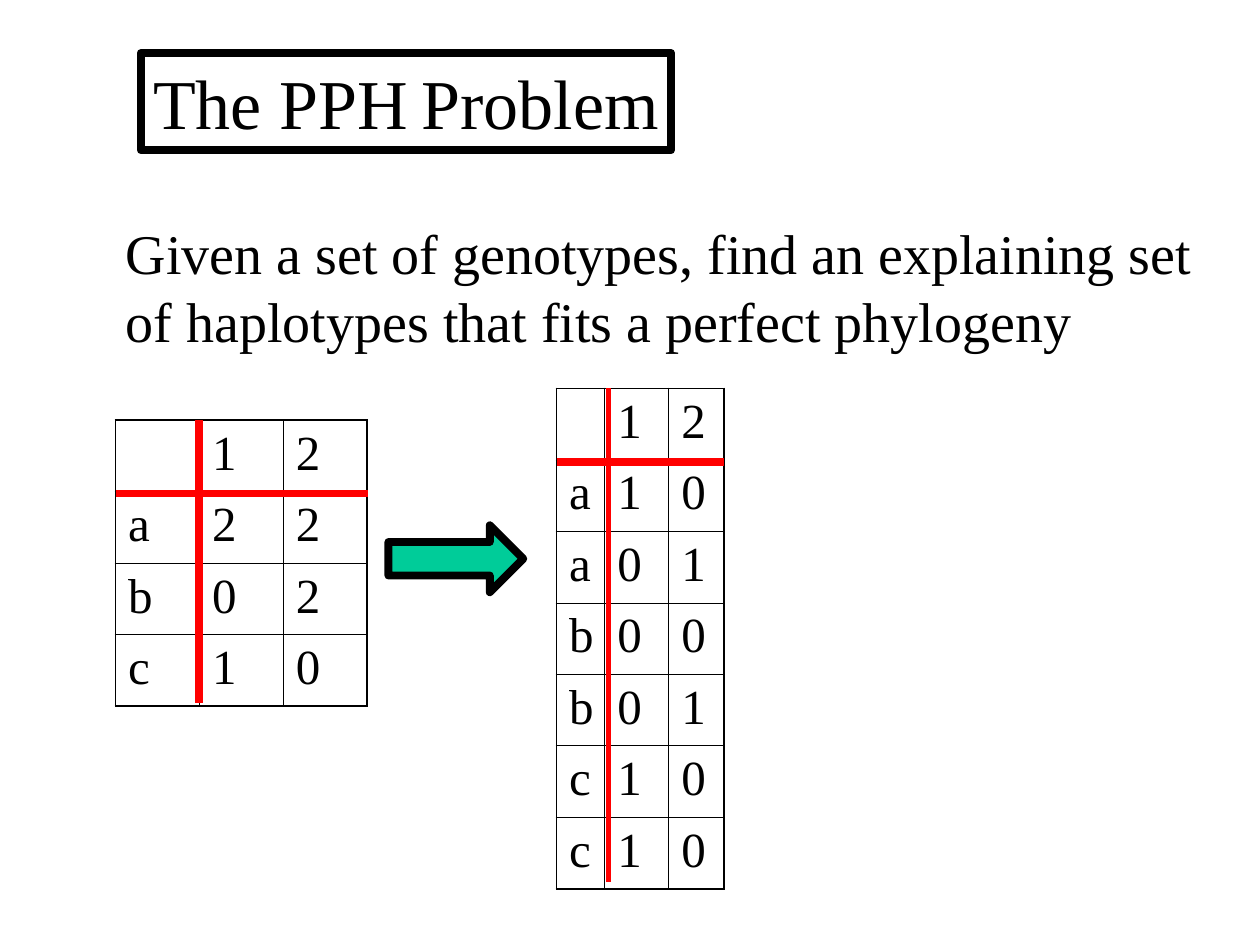
from lxml import etree
from pptx import Presentation
from pptx.dml.color import RGBColor
from pptx.enum.shapes import MSO_CONNECTOR, MSO_SHAPE
from pptx.enum.text import MSO_ANCHOR, MSO_AUTO_SIZE, PP_ALIGN
from pptx.oxml import parse_xml
from pptx.oxml.ns import nsdecls, qn
from pptx.util import Cm, Pt

RECT = MSO_SHAPE.RECTANGLE
ARROW = MSO_SHAPE.RIGHT_ARROW
STRAIGHT = MSO_CONNECTOR.STRAIGHT
LEFT = PP_ALIGN.LEFT
TOP = MSO_ANCHOR.TOP
GROW = MSO_AUTO_SIZE.SHAPE_TO_FIT_TEXT

COLORS = {"ink": "000000", "rule": "FF0000", "arrow": "00CC99"}
FRAME = {"word_wrap": False, "auto_size": GROW, "vertical_anchor": TOP}
ROW = 1.44
THIN, EDGE = 0.45, 1.08

GENOS = ["12", "a22", "b02", "c10"]
HAPLOS = ["12", "a10", "a01", "b00", "b01", "c10", "c10"]


def apply(target, values):
    for name, value in values.items():
        setattr(target, name, value)


def color(name):
    return RGBColor.from_string(COLORS[name])


class Board:
    """Holds the text style and the slide being filled."""

    def __init__(self, slide, font):
        self.slide = slide
        self.font = font

    def add_runs(self, para, runs):
        """Fill a paragraph from (text, size) pairs."""
        para.alignment = LEFT
        for text, size in runs:
            run = para.add_run()
            run.text = text
            apply(run.font, {"name": self.font, "size": Pt(size)})
            run.font.color.rgb = color("ink")

    def fill_frame(self, frame, lines):
        apply(frame, FRAME)
        for i, runs in enumerate(lines):
            para = frame.add_paragraph() if i else frame.paragraphs[0]
            self.add_runs(para, runs)

    def text(self, box, lines):
        shape = self.slide.shapes.add_textbox(*map(Cm, box))
        self.fill_frame(shape.text_frame, lines)

    def shape(self, kind, box, fill=None, lines=()):
        shape = self.slide.shapes.add_shape(kind, *map(Cm, box))
        shape.shadow.inherit = False
        if fill:
            shape.fill.solid()
            shape.fill.fore_color.rgb = color(fill)
        else:
            shape.fill.background()
        shape.line.color.rgb = color("ink")
        shape.line.width = Pt(4.5)
        if lines:
            self.fill_frame(shape.text_frame, lines)

    def line(self, start, end, width=4.5):
        line = self.slide.shapes.add_connector(STRAIGHT, *map(Cm, start + end))
        line.line.color.rgb = color("rule")
        line.line.width = Pt(width)
        etree.SubElement(line._element.spPr, qn("a:effectLst"))

    def border(self, cell, widths):
        props = cell._tc.get_or_add_tcPr()
        for side, width in widths.items():
            props.append(parse_xml(
                f'<a:ln{side} {nsdecls("a")} w="{Pt(width)}"><a:solidFill>'
                f'<a:srgbClr val="{COLORS["ink"]}"/></a:solidFill></a:ln{side}>'))

    def table(self, left, top, cols, rows):
        """Draw a grid whose outer edge is heavier than its inner lines."""
        frame = self.slide.shapes.add_table(
            len(rows), len(cols), Cm(left), Cm(top),
            Cm(sum(cols)), Cm(ROW * len(rows)))
        table = frame.table
        apply(table, {"first_row": False, "horz_banding": False})
        for col, width in zip(table.columns, cols):
            col.width = Cm(width)
        for r, values in enumerate(rows):
            table.rows[r].height = Cm(ROW)
            for c, value in enumerate(values.rjust(len(cols))):
                cell = table.cell(r, c)
                ends = {"L": c == 0, "R": c == len(cols) - 1,
                        "T": r == 0, "B": r == len(rows) - 1}
                self.border(cell, {side: EDGE if outer else THIN
                                   for side, outer in ends.items()})
                cell.fill.background()
                if value.strip():
                    self.add_runs(cell.text_frame.paragraphs[0], [(value, 28)])


def main():
    deck = Presentation()
    apply(deck, {"slide_width": Cm(25.4), "slide_height": Cm(19.05)})
    slide = deck.slides.add_slide(deck.slide_layouts[6])
    board = Board(slide, "Times New Roman")

    board.shape(RECT, (2.84, 1.07, 10.69, 1.96),
                lines=[[("The PPH", 40), (" ", 32), ("Problem", 40)]])
    board.text((2.29, 4.29, 22.28, 2.97), [
        [("Given a set of genotypes, find an explaining set", 32)],
        [("of haplotypes that fits a perfect phylogeny", 32)]])

    board.table(2.33, 8.47, [1.69] * 3, GENOS)
    board.line((2.33, 9.95), (7.41, 9.95))
    board.line((4.02, 8.47), (4.02, 14.18))

    board.table(11.22, 7.83, [0.97, 1.29, 1.12], HAPLOS)
    board.line((12.27, 17.78), (12.27, 7.83), 3)
    board.line((11.22, 9.31), (14.6, 9.31))

    board.shape(ARROW, (7.83, 10.59, 2.72, 1.35), "arrow")
    deck.save("out.pptx")


if __name__ == "__main__":
    main()
